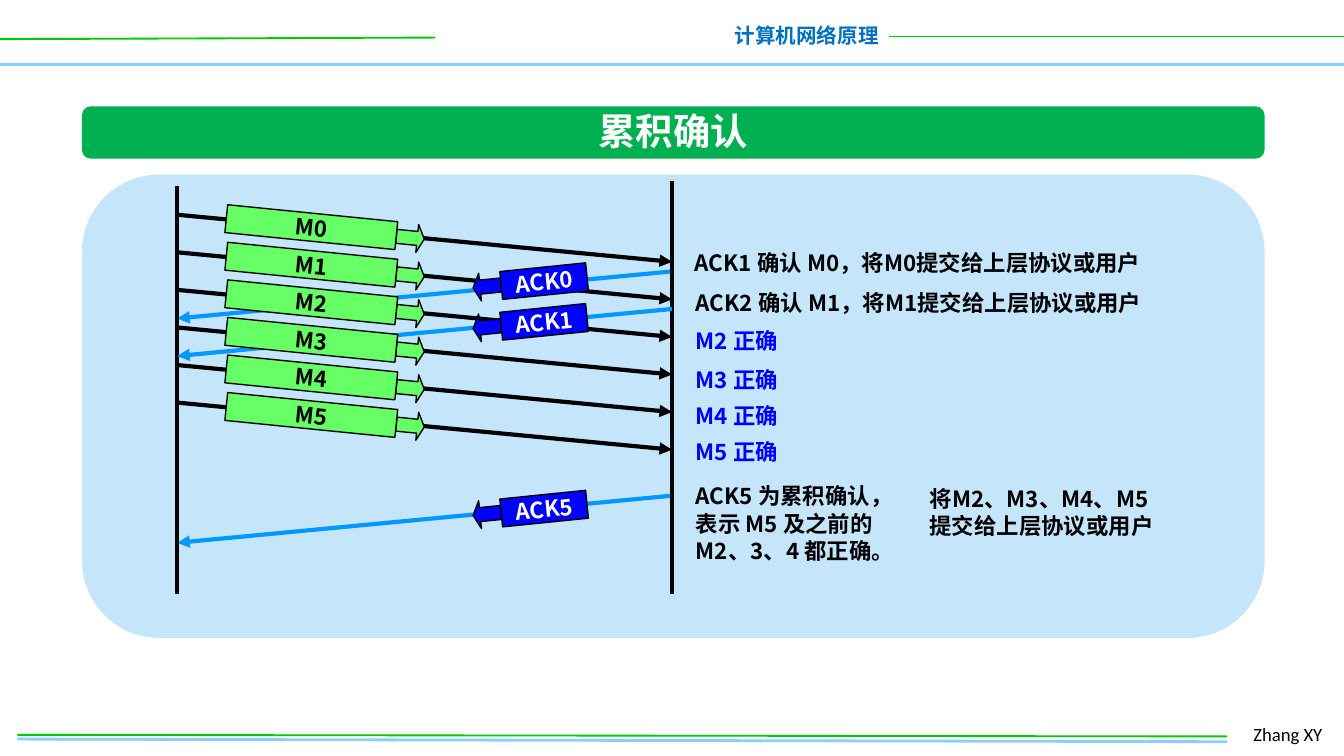
import pptx
import pptx.dml.color
import pptx.enum.shapes
import pptx.enum.text
import pptx.oxml.ns
import pptx.util
from lxml import etree

Cm = pptx.util.Cm
Pt = pptx.util.Pt
RGBColor = pptx.dml.color.RGBColor
SHAPE = pptx.enum.shapes.MSO_SHAPE
ALIGN = pptx.enum.text.PP_ALIGN
ANCHOR = pptx.enum.text.MSO_ANCHOR
qn = pptx.oxml.ns.qn

BLACK = RGBColor(0x00, 0x00, 0x00)
WHITE = RGBColor(0xFF, 0xFF, 0xFF)
BLUE = RGBColor(0x00, 0x00, 0xFF)
ACK_BLUE = RGBColor(0x00, 0x99, 0xFF)
RULE_BLUE = RGBColor(0x85, 0xD1, 0xF7)
RULE_GREEN = RGBColor(0x00, 0xCC, 0x00)
COURSE_BLUE = RGBColor(0x00, 0x70, 0xC0)
PANEL_BLUE = RGBColor(0xC5, 0xE5, 0xFB)
BANNER_GREEN = RGBColor(0x00, 0xB0, 0x50)
MESSAGE_GREEN = RGBColor(0x66, 0xFF, 0x66)

CJK_FONT = "Noto Sans CJK SC"
LINE_FACTOR = 1.22
SENDER_X = 3.35
RECEIVER_X = 12.7
DROP = 0.89
BLOCK_HEIGHT = 0.53
FIRST_MESSAGE_Y = 4.06
MESSAGE_STEP = 0.71


def write_text(frame, lines, color, size=12, align=ALIGN.LEFT, font=CJK_FONT, bold=True):
    for index, line in enumerate(lines):
        para = frame.paragraphs[0] if index == 0 else frame.add_paragraph()
        para.alignment = align
        para.line_spacing = Pt(size * LINE_FACTOR)
        para.space_before = Pt(0)
        span = para.add_run()
        span.text = line
        span.font.name = font
        span.font.size = Pt(size)
        span.font.bold = bold
        span.font.color.rgb = color
        east_asian = etree.SubElement(span.font._element, qn("a:ea"))
        east_asian.set("typeface", font)


def add_label(page, left, top, width, height, lines, color, wrap=False, **style):
    box = page.shapes.add_textbox(Cm(left), Cm(top), Cm(width), Cm(height))
    box.text_frame.word_wrap = wrap
    write_text(box.text_frame, lines, color, **style)


def add_line(shapes, start, end, color, width, arrow=False):
    line = shapes.add_connector(
        pptx.enum.shapes.MSO_CONNECTOR.STRAIGHT,
        Cm(start[0]), Cm(start[1]), Cm(end[0]), Cm(end[1]),
    )
    line.line.color.rgb = color
    line.line.width = Pt(width)
    if arrow:
        etree.SubElement(line.line._get_or_add_ln(), qn("a:tailEnd")).set("type", "triangle")
    etree.SubElement(line.element.spPr, qn("a:effectLst"))


def add_block(shapes, kind, left, top, width, height, fill, outlined=False, rotation=0):
    block = shapes.add_shape(kind, Cm(left), Cm(top), Cm(width), Cm(height))
    block.shadow.inherit = False
    block.rotation = rotation
    block.fill.solid()
    block.fill.fore_color.rgb = fill
    if outlined:
        block.line.color.rgb = BLACK
        block.line.width = Pt(0.75)
    else:
        block.line.fill.background()
    return block


def add_packet(shapes, name, left, top, width, arrow_kind, arrow_left, arrow_top,
               fill, color, rotation):
    arrow = add_block(shapes, arrow_kind, arrow_left, arrow_top, BLOCK_HEIGHT, BLOCK_HEIGHT,
                      fill, True, rotation)
    arrow.adjustments[0] = 0.5
    arrow.adjustments[1] = 0.25
    packet = add_block(shapes, SHAPE.RECTANGLE, left, top, width, BLOCK_HEIGHT,
                       fill, True, rotation)
    frame = packet.text_frame
    frame.word_wrap = False
    frame.vertical_anchor = ANCHOR.MIDDLE
    frame.margin_left = frame.margin_right = frame.margin_top = frame.margin_bottom = 0
    write_text(frame, [name], color, align=ALIGN.CENTER)


def add_message(page, number):
    y = FIRST_MESSAGE_Y + number * MESSAGE_STEP
    shapes = page.shapes.add_group_shape().shapes
    add_line(shapes, (SENDER_X, y), (RECEIVER_X, y + DROP), BLACK, 2.25, True)
    add_packet(shapes, f"M{number}", 4.27, y - 0.03, 3.23, SHAPE.RIGHT_ARROW, 7.49, y + 0.17,
               MESSAGE_GREEN, BLACK, 5.7)


def add_ack(page, number, y, packet_top):
    shapes = page.shapes.add_group_shape().shapes
    add_line(shapes, (RECEIVER_X, y), (SENDER_X, y + DROP), ACK_BLUE, 2.25, True)
    add_packet(shapes, f"ACK{number}", 9.47, packet_top, 1.63, SHAPE.LEFT_ARROW, 8.94,
               packet_top + 0.1, BLUE, WHITE, 354.2)


def add_frame_lines(page):
    add_line(page.shapes, (0, 1.22), (25.4, 1.22), RULE_BLUE, 2)
    add_line(page.shapes, (0, 0.74), (8.23, 0.71), RULE_GREEN, 1)
    add_label(page, 13.61, 0.3, 3.25, 0.74, ["计算机网络原理"], COURSE_BLUE,
              size=11, align=ALIGN.RIGHT)
    add_line(page.shapes, (16.81, 0.69), (25.4, 0.69), RULE_GREEN, 1)
    add_line(page.shapes, (0.33, 13.97), (23.19, 14.02), RULE_BLUE, 1.5)
    add_label(page, 23.44, 13.54, 1.88, 0.69, ["Zhang XY"], BLACK, wrap=True,
              size=10, font="Calibri", bold=False)
    add_line(page.shapes, (0.33, 13.89), (23.19, 13.92), RULE_GREEN, 1)


def add_title(page, text):
    banner = add_block(page.shapes, SHAPE.ROUNDED_RECTANGLE, 1.55, 2.01, 22.35, 0.99,
                       BANNER_GREEN)
    title = page.shapes.title
    title.left, title.top, title.width, title.height = Cm(11.05), Cm(1.9), Cm(3.35), Cm(1.12)
    frame = title.text_frame
    frame.word_wrap = False
    frame.auto_size = pptx.enum.text.MSO_AUTO_SIZE.NONE
    frame.vertical_anchor = ANCHOR.TOP
    write_text(frame, [text], WHITE, size=20, align=ALIGN.CENTER)
    banner.element.addnext(title.element)


def add_notes_column(page):
    add_label(page, 12.88, 4.57, 11.02, 0.76, ["ACK1 确认 M0，将M0提交给上层协议或用户"],
              BLACK, wrap=True)
    add_label(page, 12.9, 5.33, 10.41, 0.76, ["ACK2 确认 M1，将M1提交给上层协议或用户"],
              BLACK, wrap=True)
    for number, top in zip(range(2, 6), (6.05, 6.78, 7.47, 8.15)):
        add_label(page, 12.9, top, 2.21, 0.76, [f"M{number} 正确"], BLUE)
    add_label(page, 12.9, 8.99, 4.45, 1.8,
              ["ACK5 为累积确认，", "表示 M5 及之前的", "M2、3、4 都正确。"], BLACK)
    add_label(page, 17.32, 9.04, 5.41, 1.27,
              ["将M2、M3、M4、M5", "提交给上层协议或用户"], BLACK, wrap=True)


def add_exchange(page):
    for number in (0, 1, 4, 5):
        add_message(page, number)
    add_ack(page, 0, 5.13, 5.05)
    add_ack(page, 5, 9.37, 9.35)
    add_line(page.shapes, (RECEIVER_X, 3.43), (RECEIVER_X, 11.23), BLACK, 2.25)
    add_line(page.shapes, (SENDER_X, 3.51), (SENDER_X, 11.23), BLACK, 2.25)
    add_message(page, 2)
    add_ack(page, 1, 5.84, 5.82)
    add_message(page, 3)


def main():
    deck = pptx.Presentation()
    deck.slide_width = Cm(25.4)
    deck.slide_height = Cm(14.29)
    page = deck.slides.add_slide(deck.slide_layouts[5])
    add_frame_lines(page)
    add_block(page.shapes, SHAPE.ROUNDED_RECTANGLE, 1.55, 3.3, 22.35, 8.76, PANEL_BLUE)
    add_title(page, "累积确认")
    add_notes_column(page)
    add_exchange(page)
    deck.save("out.pptx")


if __name__ == "__main__":
    main()
